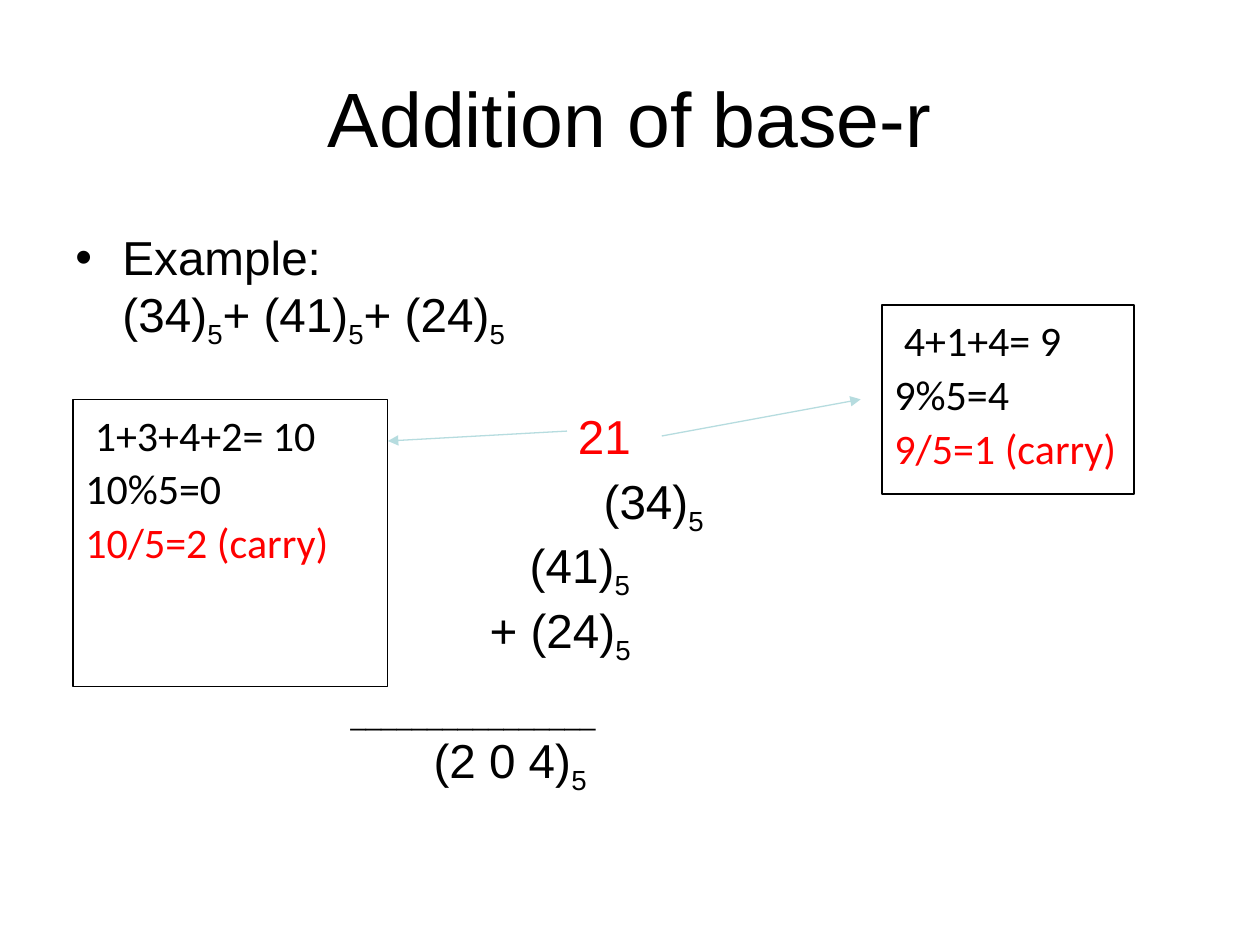
from pptx import Presentation
from pptx import util as u
from pptx.dml import color
from pptx.enum import shapes, text
from pptx.oxml import ns, xmlchemy

HUES = {"ink": "000000", "carry": "FF0000", "paper": "FFFFFF", "arrow": "B6DCDF"}


def hue(name):
    """Return the named colour."""
    return color.RGBColor.from_string(HUES[name])


def style(font, face, size, tone="ink"):
    """Set face, size and colour of a font."""
    font.name, font.size = face, u.Pt(size)
    font.color.rgb = hue(tone)


def child(node, tag, **attrs):
    """Append a drawing element to a node."""
    part = xmlchemy.OxmlElement(tag)
    for key, val in attrs.items():
        part.set(key, val)
    node.append(part)
    return part


def frame(slide, box):
    """Add a wrapping text box and return its frame."""
    area = slide.shapes.add_textbox(*map(u.Cm, box)).text_frame
    area.word_wrap = True
    return area


def title(slide, box, words):
    """Place the centred title."""
    area = frame(slide, box)
    area.vertical_anchor = text.MSO_ANCHOR.MIDDLE
    area.text = words
    para = area.paragraphs[0]
    para.alignment = text.PP_ALIGN.CENTER
    style(para.runs[0].font, "Arial", 44)


def sums(slide, box, rows):
    """Place indented rows whose odd pieces between bars are subscripts."""
    area = frame(slide, box)
    for num, (words, left, gap, tone) in enumerate(rows):
        para = area.add_paragraph() if num else area.paragraphs[0]
        props = para._p.get_or_add_pPr()
        props.set("marL", str(u.Cm(left)))
        if num == 0:
            props.set("indent", str(-u.Cm(left)))
            child(props, "a:buFont", typeface="Arial")
            child(props, "a:buChar", char="•")
        para.line_spacing = u.Pt(37)
        para.space_before = u.Pt(gap)
        for spot, piece in enumerate(words.split("|")):
            if piece:
                run = para.add_run()
                run.text = piece
                style(run.font, "Arial", 27.2, tone)
                if spot % 2:
                    run._r.get_or_add_rPr().set("baseline", "-25000")


def note(slide, box, lines):
    """Place a framed working whose last line is the carry."""
    rect = slide.shapes.add_shape(shapes.MSO_SHAPE.RECTANGLE, *map(u.Cm, box))
    rect.shadow.inherit = False
    rect.fill.solid()
    rect.fill.fore_color.rgb = hue("paper")
    rect.line.color.rgb = hue("ink")
    rect.line.width = u.Pt(0.75)
    area = rect.text_frame
    area.word_wrap = True
    area.vertical_anchor = text.MSO_ANCHOR.TOP
    para = area.paragraphs[0]
    para.text = "\v".join(lines)
    para.alignment = text.PP_ALIGN.LEFT
    para.line_spacing = 1.07
    para.space_after = u.Pt(8)
    for run in para.runs:
        style(run.font, "Calibri", 24)
    para.runs[-1].font.color.rgb = hue("carry")


def arrow(slide, ends):
    """Draw an arrow from a carry digit to its working."""
    line = slide.shapes.add_connector(shapes.MSO_CONNECTOR.STRAIGHT, *map(u.Cm, ends))
    line.line.color.rgb = hue("arrow")
    line.line.width = u.Pt(0.75)
    props = line._element.spPr
    child(props.find(ns.qn("a:ln")), "a:tailEnd", type="triangle")
    child(props, "a:effectLst")


def main():
    """Build and save the slide."""
    deck = Presentation()
    deck.slide_width, deck.slide_height = u.Cm(25.4), u.Cm(19.05)
    slide = deck.slides.add_slide(deck.slide_layouts[6])
    title(slide, (1.27, 0.76, 22.86, 3.18), "Addition of base-r")
    sums(slide, (1.27, 4.32, 22.86, 12.57), [
        ("Example:", 0.95, 0, "ink"),
        ("(34)|5|+ (41)|5|+ (24)|5", 0.95, 0, "ink"),
        ("21", 10.13, 28.4, "carry"),
        ("(34)|5", 10.65, 4.3, "ink"),
        ("(41)|5", 9.16, 0, "ink"),
        ("+ (24)|5", 8.35, 0, "ink"),
        ("|" + "_" * 16, 5.55, 0, "ink"),
        ("(2 0 4)|5", 7.22, 0, "ink"),
    ])
    note(slide, (17.78, 6.15, 5.08, 3.81), [" 4+1+4= 9", "9%5=4", "9/5=1 (carry)"])
    note(slide, (1.47, 8.05, 6.35, 5.79), [" 1+3+4+2= 10", "10%5=0", "10/5=2 (carry)"])
    arrow(slide, (13.34, 8.79, 17.35, 8.05))
    arrow(slide, (11.43, 8.69, 7.82, 8.89))
    deck.save("out.pptx")


if __name__ == "__main__":
    main()
